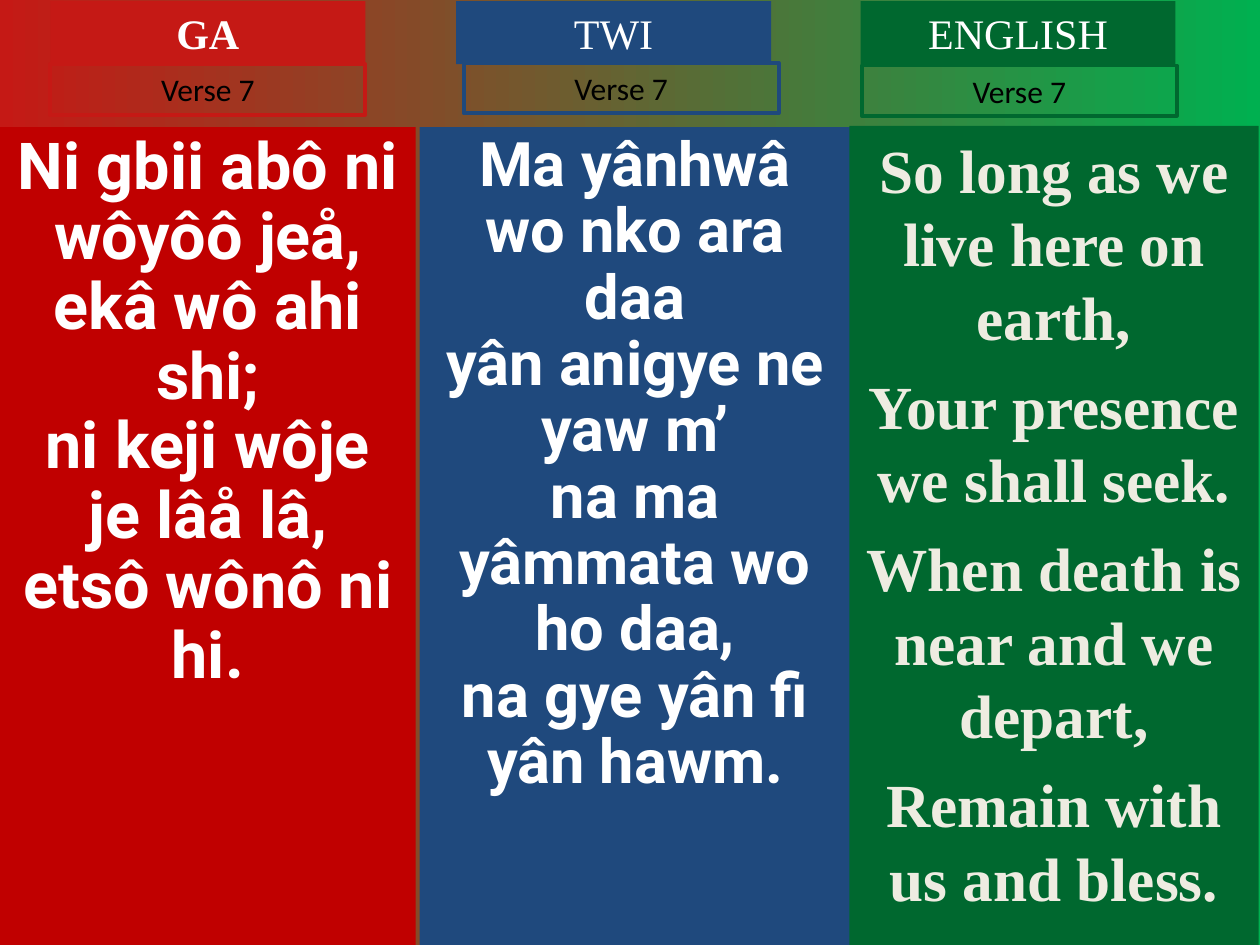
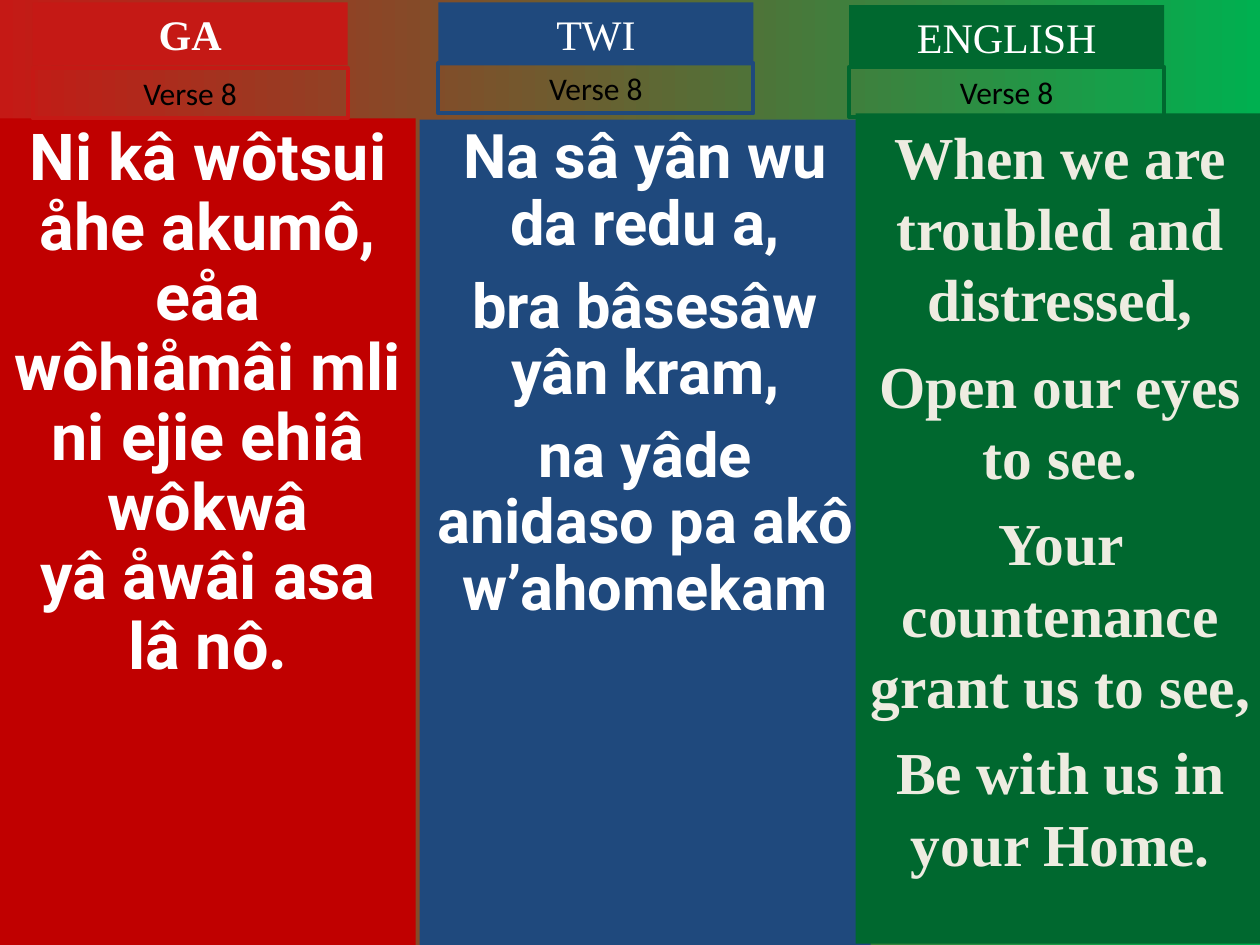
from dataclasses import dataclass

from pptx import Presentation
from pptx.dml.color import RGBColor
from pptx.enum.shapes import MSO_SHAPE
from pptx.enum.text import MSO_ANCHOR, MSO_AUTO_SIZE, PP_ALIGN
from pptx.util import Inches, Pt

RECTANGLE = MSO_SHAPE.RECTANGLE
TOP = MSO_ANCHOR.TOP
CENTER = PP_ALIGN.CENTER
GROW = MSO_AUTO_SIZE.SHAPE_TO_FIT_TEXT
FIXED = MSO_AUTO_SIZE.NONE


@dataclass(frozen=True)
class Theme:
    red: str = "C51915"
    deep_red: str = "C00000"
    blue: str = "1F497D"
    green: str = "00682F"
    bright_green: str = "00B050"
    white: str = "FFFFFF"
    cream: str = "EEECE1"
    black: str = "000000"
    serif: str = "Times New Roman"
    hymn: str = "Roboto"
    label: str = "Calibri"
    heading_size: float = 24
    verse_size: float = 18
    ga_size: float = 37
    twi_size: float = 35.1
    border: float = 2.25


theme = Theme()

LANGUAGES = {
    "GA": dict(
        accent=theme.red, panel=theme.deep_red, heading_bold=True,
        lyrics=dict(font=theme.hymn, size=theme.ga_size, color=theme.white, spacing=0.9),
    ),
    "TWI": dict(
        accent=theme.blue, panel=theme.blue, heading_bold=False,
        lyrics=dict(font=theme.hymn, size=theme.twi_size, color=theme.white, spacing=0.9),
    ),
    "ENGLISH": dict(
        accent=theme.green, panel=theme.green, heading_bold=False,
        lyrics=dict(font=theme.serif, color=theme.cream),
    ),
}

VERSES = {
    "Verse 7": {
        "GA": dict(
            panel=(0, 1.01, 3.3, 6.49), heading=(0.4, 0.01), verse=(0.4, 0.51), lyrics={},
            lines=["Ni gbii abô ni wôyôô jeå,", "ekâ wô ahi shi;",
                   "ni keji wôje je lâå lâ,", "etsô wônô ni hi."],
        ),
        "TWI": dict(
            panel=(3.33, 1.01, 3.42, 6.49), heading=(3.62, 0.01), verse=(3.68, 0.5), lyrics={},
            lines=["Ma yânhwâ wo nko ara daa", "yân anigye ne yaw m’",
                   "na ma yâmmata wo ho daa,", "na gye yân fi yân hawm."],
        ),
        "ENGLISH": dict(
            panel=(6.74, 1, 3.25, 6.5), heading=(6.83, 0.01), verse=(6.84, 0.52),
            lyrics=dict(size=35, gap=8.8),
            lines=["So long as we live here on earth,", "Your presence we shall seek.",
                   "When death is near and we depart,", "Remain with us and bless."],
        ),
    },
    "Verse 8": {
        "GA": dict(
            panel=(0, 0.94, 3.3, 6.56), heading=(0.26, 0.02), verse=(0.26, 0.54), lyrics={},
            lines=["Ni kâ wôtsui åhe akumô,", "eåa wôhiåmâi mli",
                   "ni ejie ehiâ wôkwâ", "yâ åwâi asa lâ nô."],
        ),
        "TWI": dict(
            panel=(3.33, 0.95, 3.58, 6.55), heading=(3.48, 0.02), verse=(3.48, 0.5),
            lyrics=dict(gap=9.5),
            lines=["Na sâ yân wu da redu a,", "bra bâsesâw yân kram,",
                   "na yâde anidaso pa akô w’ahomekam"],
        ),
        "ENGLISH": dict(
            panel=(6.79, 0.9, 3.25, 6.59), heading=(6.74, 0.04), verse=(6.74, 0.53),
            lyrics=dict(size=34, gap=8.5),
            lines=["When we are troubled and distressed,", "Open our eyes to see.",
                   "Your countenance grant us to see,", "Be with us in your Home."],
        ),
    },
}


def add_block(slide, box, lines, *, font, size, color, bold=False, fill=None,
              line=None, spacing=None, gap=0, fit=GROW):
    block = slide.shapes.add_shape(RECTANGLE, *map(Inches, box))
    block.shadow.inherit = False
    if fill:
        block.fill.solid()
        block.fill.fore_color.rgb = RGBColor.from_string(fill)
    else:
        block.fill.background()
    if line:
        block.line.color.rgb = RGBColor.from_string(line)
        block.line.width = Pt(theme.border)
    else:
        block.line.fill.background()
    frame = block.text_frame
    frame.word_wrap = True
    frame.auto_size = fit
    frame.vertical_anchor = TOP
    for index, words in enumerate(lines):
        paragraph = frame.add_paragraph() if index else frame.paragraphs[0]
        paragraph.alignment = CENTER
        if spacing:
            paragraph.line_spacing = spacing
        paragraph.space_before = Pt(gap if index else 0)
        run = paragraph.add_run()
        run.text = words
        run.font.name = font
        run.font.size = Pt(size)
        run.font.bold = bold
        run.font.color.rgb = RGBColor.from_string(color)


prs = Presentation()
prs.slide_width = Inches(10)
prs.slide_height = Inches(7.5)

for verse, columns in VERSES.items():
    slide = prs.slides.add_slide(prs.slide_layouts[6])
    backdrop = slide.background.fill
    backdrop.gradient()
    backdrop.gradient_angle = 0
    for stop, color in zip(backdrop.gradient_stops, (theme.red, theme.bright_green)):
        stop.color.rgb = RGBColor.from_string(color)

    for name, column in columns.items():
        language = LANGUAGES[name]
        add_block(slide, column["panel"], column["lines"], bold=True, fit=FIXED,
                  fill=language["panel"], **language["lyrics"], **column["lyrics"])
        add_block(slide, (*column["heading"], 2.5, 0.5), [name], font=theme.serif,
                  size=theme.heading_size, color=theme.white,
                  bold=language["heading_bold"], fill=language["accent"])
        add_block(slide, (*column["verse"], 2.5, 0.4), [verse], font=theme.label,
                  size=theme.verse_size, color=theme.black, line=language["accent"])

prs.save("out.pptx")
